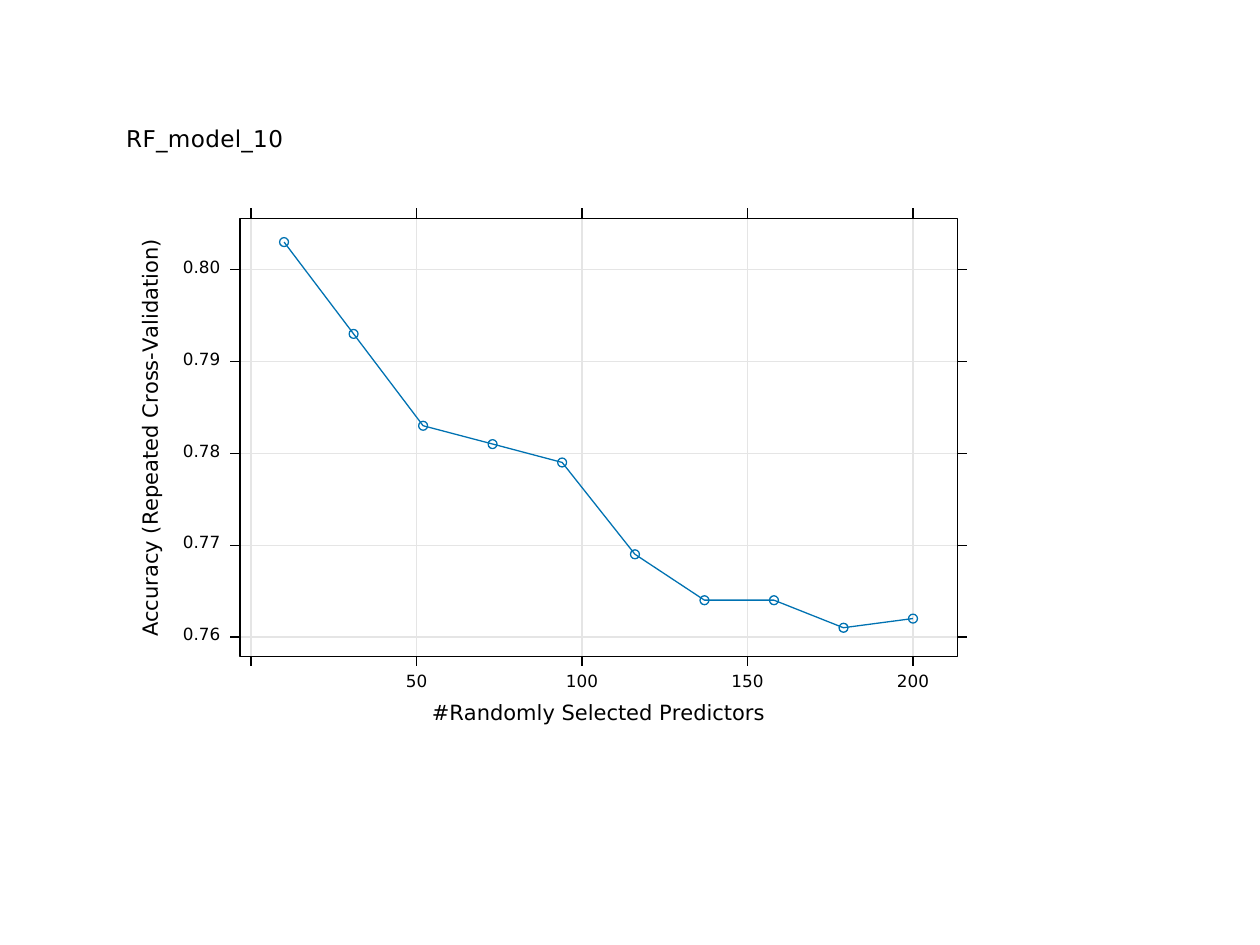
from dataclasses import dataclass

from lxml import etree
from pptx import Presentation
from pptx.chart.data import XyChartData
from pptx.dml.color import RGBColor
from pptx.enum.chart import XL_CHART_TYPE, XL_MARKER_STYLE, XL_TICK_LABEL_POSITION, XL_TICK_MARK
from pptx.enum.shapes import MSO_CONNECTOR, MSO_SHAPE
from pptx.enum.text import MSO_ANCHOR, PP_ALIGN
from pptx.oxml import parse_xml
from pptx.oxml.ns import nsdecls, qn
from pptx.util import Cm, Pt

BLACK = RGBColor(0x00, 0x00, 0x00)
GRID_GREY = RGBColor(0xE5, 0xE5, 0xE5)
BLUE = RGBColor(0x00, 0x72, 0xB2)
FONT = "DejaVu Sans"
LINE_WIDTH = Pt(0.75)
LABEL_SIZE = 9.6
TICK_LENGTH = 0.2
MARKER_SIZE = 0.18


@dataclass(frozen=True)
class Box:
    """A rectangle in centimetres."""
    left: float
    top: float
    width: float
    height: float

    @property
    def right(self) -> float:
        return self.left + self.width

    @property
    def bottom(self) -> float:
        return self.top + self.height


@dataclass(frozen=True)
class AxisScale:
    title: str
    minimum: float
    maximum: float
    ticks: tuple[float, ...]

    def fraction(self, value: float) -> float:
        return (value - self.minimum) / (self.maximum - self.minimum)


CHART = Box(2, 2, 19, 13.5)
PLOT = Box(4.84, 4.4, 14.46, 8.83)
X_SCALE = AxisScale("#Randomly Selected Predictors", -3.3, 213.4, (0, 50, 100, 150, 200))
Y_SCALE = AxisScale("Accuracy (Repeated Cross-Validation)", 0.7579, 0.8056,
                    (0.76, 0.77, 0.78, 0.79, 0.80))
PREDICTORS = (10, 31, 52, 73, 94, 116, 137, 158, 179, 200)
ACCURACY = (0.803, 0.793, 0.783, 0.781, 0.779, 0.769, 0.764, 0.764, 0.761, 0.762)


def x_position(predictors: float) -> float:
    return PLOT.left + PLOT.width * X_SCALE.fraction(predictors)


def y_position(accuracy: float) -> float:
    return PLOT.bottom - PLOT.height * Y_SCALE.fraction(accuracy)


def style_line(line, color: RGBColor) -> None:
    line.color.rgb = color
    line.width = LINE_WIDTH


def style_font(font, size: float) -> None:
    font.name = FONT
    font.size = Pt(size)
    font.bold = False
    font.color.rgb = BLACK


def layout_xml(left: float, top: float, size: Box | None = None):
    """Manual layout at a slide position, as fractions of the chart."""
    parts = ['<c:xMode val="edge"/><c:yMode val="edge"/>',
             f'<c:x val="{(left - CHART.left) / CHART.width:.4f}"/>',
             f'<c:y val="{(top - CHART.top) / CHART.height:.4f}"/>']
    if size:
        parts.insert(0, '<c:layoutTarget val="inner"/>')
        parts.append(f'<c:w val="{size.width / CHART.width:.4f}"/>'
                     f'<c:h val="{size.height / CHART.height:.4f}"/>')
    return parse_xml(f'<c:layout {nsdecls("c")}><c:manualLayout>{"".join(parts)}'
                     '</c:manualLayout></c:layout>')


def no_fill_xml():
    return parse_xml(f'<c:spPr {nsdecls("c", "a")}><a:noFill/><a:ln><a:noFill/></a:ln></c:spPr>')


def set_title(title, text: str, size: float, left: float, top: float) -> None:
    """Fill the title of a chart or an axis and place it on the slide."""
    title.text_frame.text = text
    style_font(title.text_frame.paragraphs[0].font, size)
    element = title._element
    for layout in element.findall(qn("c:layout")):
        element.remove(layout)
    element.find(qn("c:tx")).addnext(layout_xml(left, top))


def style_axis(axis, scale: AxisScale) -> None:
    """Fix the range; the ticks, labels and grid are drawn around the chart."""
    axis.minimum_scale = scale.minimum
    axis.maximum_scale = scale.maximum
    axis.major_tick_mark = axis.minor_tick_mark = XL_TICK_MARK.NONE
    axis.tick_label_position = XL_TICK_LABEL_POSITION.NONE
    axis.has_major_gridlines = False
    axis.format.line.fill.background()


def add_accuracy_chart(slide) -> None:
    data = XyChartData()
    points = data.add_series("Accuracy")
    for predictors, accuracy in zip(PREDICTORS, ACCURACY):
        points.add_data_point(predictors, accuracy)
    chart = slide.shapes.add_chart(
        XL_CHART_TYPE.XY_SCATTER_LINES_NO_MARKERS, Cm(CHART.left), Cm(CHART.top),
        Cm(CHART.width), Cm(CHART.height), data).chart
    chart.has_legend = False
    style_font(chart.font, LABEL_SIZE)
    chart.plots[0].vary_by_categories = False

    series = chart.plots[0].series[0]
    series.smooth = False
    series.marker.style = XL_MARKER_STYLE.NONE
    style_line(series.format.line, BLUE)

    style_axis(chart.category_axis, X_SCALE)
    style_axis(chart.value_axis, Y_SCALE)
    set_title(chart.chart_title, "RF_model_10", 13.2, 2.46, 2.38)
    set_title(chart.category_axis.axis_title, X_SCALE.title, 12, 8.63, 14)
    set_title(chart.value_axis.axis_title, Y_SCALE.title, 12, 2.66, 4.74)

    plot_area = chart._chartSpace.chart.plotArea
    for layout in plot_area.findall(qn("c:layout")):
        plot_area.remove(layout)
    plot_area.insert(0, layout_xml(PLOT.left, PLOT.top, PLOT))
    plot_area.append(no_fill_xml())
    chart._chartSpace.chart.addnext(no_fill_xml())


def add_line(slide, start: tuple[float, float], end: tuple[float, float],
             color: RGBColor) -> None:
    line = slide.shapes.add_connector(MSO_CONNECTOR.STRAIGHT, *map(Cm, start + end))
    style_line(line.line, color)
    etree.SubElement(line._element.spPr, qn("a:effectLst"))


def add_label(slide, text: str, box: Box, alignment: PP_ALIGN) -> None:
    frame = slide.shapes.add_textbox(Cm(box.left), Cm(box.top),
                                     Cm(box.width), Cm(box.height)).text_frame
    frame.margin_left = frame.margin_right = frame.margin_top = frame.margin_bottom = 0
    frame.word_wrap = True
    frame.vertical_anchor = MSO_ANCHOR.MIDDLE
    paragraph = frame.paragraphs[0]
    paragraph.text = text
    paragraph.alignment = alignment
    paragraph.line_spacing = Pt(LABEL_SIZE)
    style_font(paragraph.font, LABEL_SIZE)


def add_grid_and_ticks(slide) -> None:
    for value in X_SCALE.ticks:
        x = x_position(value)
        add_line(slide, (x, PLOT.top), (x, PLOT.bottom), GRID_GREY)
        add_line(slide, (x, PLOT.top - TICK_LENGTH), (x, PLOT.top), BLACK)
        add_line(slide, (x, PLOT.bottom), (x, PLOT.bottom + TICK_LENGTH), BLACK)
        if value:
            add_label(slide, str(value), Box(x - 0.5, 13.64, 1, 0.25), PP_ALIGN.CENTER)
    for value in Y_SCALE.ticks:
        y = y_position(value)
        add_line(slide, (PLOT.left, y), (PLOT.right, y), GRID_GREY)
        add_line(slide, (PLOT.left - TICK_LENGTH, y), (PLOT.left, y), BLACK)
        add_line(slide, (PLOT.right, y), (PLOT.right + TICK_LENGTH, y), BLACK)
        add_label(slide, f"{value:.2f}", Box(3.44, y - 0.15, 1, 0.25), PP_ALIGN.RIGHT)


def add_outline(slide, kind: MSO_SHAPE, box: Box, color: RGBColor) -> None:
    shape = slide.shapes.add_shape(kind, Cm(box.left), Cm(box.top),
                                   Cm(box.width), Cm(box.height))
    shape.shadow.inherit = False
    shape.fill.background()
    style_line(shape.line, color)


def main() -> None:
    presentation = Presentation()
    presentation.slide_width, presentation.slide_height = Cm(25.4), Cm(19.05)
    slide = presentation.slides.add_slide(presentation.slide_layouts[6])
    add_grid_and_ticks(slide)
    add_accuracy_chart(slide)
    for predictors, accuracy in zip(PREDICTORS, ACCURACY):
        marker = Box(x_position(predictors) - MARKER_SIZE / 2,
                     y_position(accuracy) - MARKER_SIZE / 2, MARKER_SIZE, MARKER_SIZE)
        add_outline(slide, MSO_SHAPE.OVAL, marker, BLUE)
    add_outline(slide, MSO_SHAPE.RECTANGLE, PLOT, BLACK)
    presentation.save("out.pptx")


if __name__ == "__main__":
    main()
